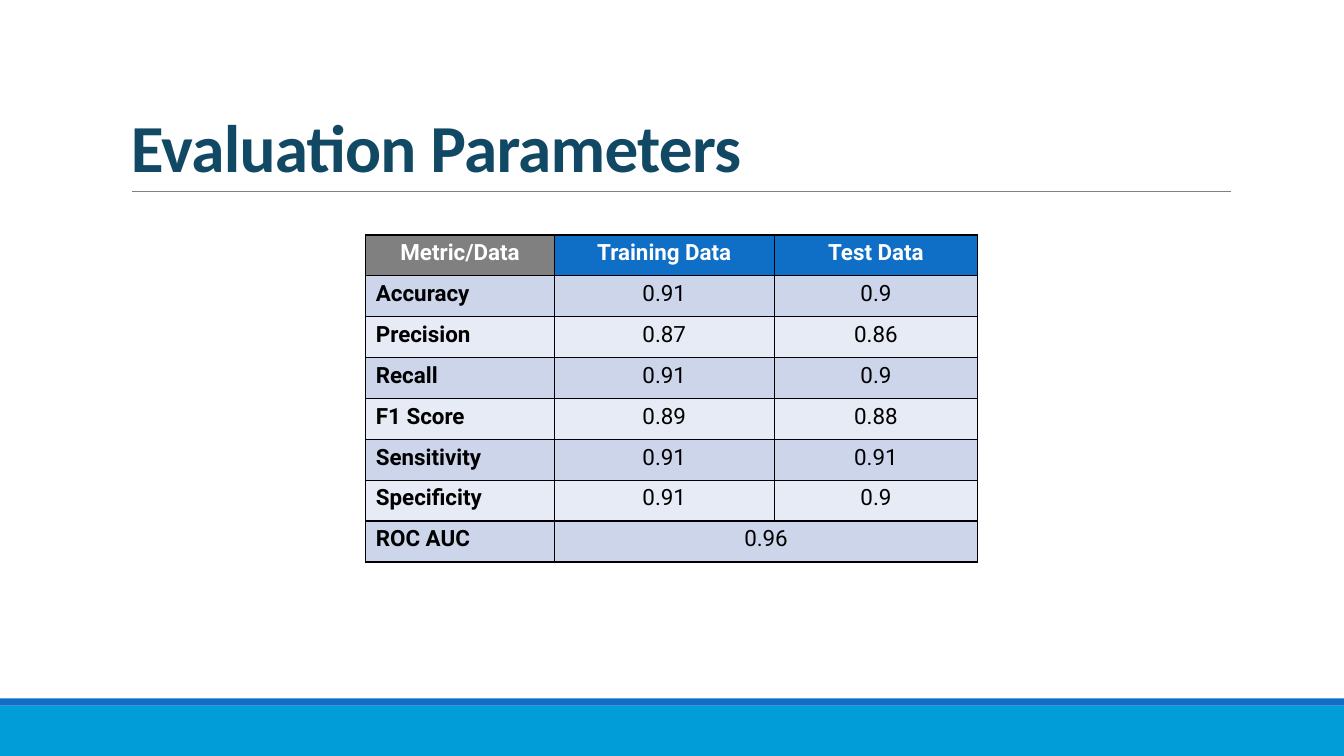
from dataclasses import dataclass

from lxml import etree
from pptx import Presentation
from pptx.dml.color import RGBColor
from pptx.enum.shapes import MSO_CONNECTOR, MSO_SHAPE
from pptx.enum.text import MSO_ANCHOR, PP_ALIGN
from pptx.oxml import parse_xml
from pptx.oxml.ns import nsdecls, qn
from pptx.slide import Slide
from pptx.table import _Cell
from pptx.text.text import _Paragraph, _Run
from pptx.util import Cm, Pt

RECTANGLE = MSO_SHAPE.RECTANGLE
STRAIGHT = MSO_CONNECTOR.STRAIGHT
BOTTOM = MSO_ANCHOR.BOTTOM
LEFT, CENTER = PP_ALIGN.LEFT, PP_ALIGN.CENTER


@dataclass(frozen=True)
class Theme:
    title_font: str = "Calibri"
    table_font: str = "Roboto"
    title_size: int = 48
    table_size: int = 16
    title: str = "114864"
    blue: str = "0F6FC6"
    cyan: str = "009DD9"
    grey: str = "808080"
    white: str = "FFFFFF"
    black: str = "000000"
    row_colors: tuple[str, str] = ("CCD5EA", "E7EBF5")


@dataclass(frozen=True)
class Band:
    top: float
    height: float
    color: str


@dataclass(frozen=True)
class Metric:
    name: str
    training: str
    test: str = ""


THEME = Theme()
SLIDE_WIDTH, SLIDE_HEIGHT = 33.87, 19.05
BANDS = (Band(17.78, 1.27, THEME.cyan), Band(17.6, 0.18, THEME.blue))
HEADINGS = ("Metric/Data", "Training Data", "Test Data")
METRICS = (
    Metric("Accuracy", "0.91", "0.9"),
    Metric("Precision", "0.87", "0.86"),
    Metric("Recall", "0.91", "0.9"),
    Metric("F1 Score", "0.89", "0.88"),
    Metric("Sensitivity", "0.91", "0.91"),
    Metric("Specificity", "0.91", "0.9"),
    Metric("ROC AUC", "0.96"),
)
COLUMN_WIDTHS = (4.75, 5.54, 5.13)
ROW_HEIGHT = 1.03


def add_run(paragraph: _Paragraph, text: str, font: str, size: int,
            color: str, bold: bool) -> _Run:
    run = paragraph.add_run()
    run.text = text
    run.font.name = font
    run.font.size = Pt(size)
    run.font.bold = bold
    run.font.color.rgb = RGBColor.from_string(color)
    return run


def add_band(slide: Slide, band: Band) -> None:
    shape = slide.shapes.add_shape(
        RECTANGLE, 0, Cm(band.top), Cm(SLIDE_WIDTH), Cm(band.height))
    shape.shadow.inherit = False
    shape.fill.solid()
    shape.fill.fore_color.rgb = RGBColor.from_string(band.color)
    shape.line.fill.background()


def add_title_rule(slide: Slide) -> None:
    rule = slide.shapes.add_connector(
        STRAIGHT, Cm(3.33), Cm(4.83), Cm(31.01), Cm(4.83))
    rule.line.color.rgb = RGBColor.from_string(THEME.grey)
    rule.line.width = Pt(0.5)
    etree.SubElement(rule._element.spPr, qn("a:effectLst"))


def add_title(slide: Slide, text: str) -> None:
    box = slide.shapes.add_textbox(Cm(3.05), Cm(0.79), Cm(27.94), Cm(4.04))
    frame = box.text_frame
    frame.word_wrap = True
    frame.vertical_anchor = BOTTOM
    paragraph = frame.paragraphs[0]
    paragraph.line_spacing = 0.85
    run = add_run(paragraph, text, THEME.title_font, THEME.title_size,
                  THEME.title, True)
    run._r.get_or_add_rPr().set("spc", "-50")


def add_borders(cell: _Cell) -> None:
    properties = cell._tc.get_or_add_tcPr()
    for side in ("lnL", "lnR", "lnT", "lnB"):
        properties.append(parse_xml(
            f'<a:{side} {nsdecls("a")} w="{Pt(1)}"><a:solidFill>'
            f'<a:srgbClr val="{THEME.black}"/></a:solidFill></a:{side}>'))


def fill_cell(cell: _Cell, text: str, fill: str, color: str, bold: bool,
              alignment: PP_ALIGN) -> None:
    add_borders(cell)
    cell.fill.solid()
    cell.fill.fore_color.rgb = RGBColor.from_string(fill)
    if text:
        paragraph = cell.text_frame.paragraphs[0]
        paragraph.alignment = alignment
        add_run(paragraph, text, THEME.table_font, THEME.table_size, color, bold)


def add_metric_table(slide: Slide) -> None:
    """Add the table; a metric without a test value spans both data columns."""
    row_count = len(METRICS) + 1
    table = slide.shapes.add_table(
        row_count, len(HEADINGS), Cm(9.22), Cm(5.92),
        Cm(sum(COLUMN_WIDTHS)), Cm(ROW_HEIGHT * row_count)).table
    for column, width in zip(table.columns, COLUMN_WIDTHS):
        column.width = Cm(width)
    for row in table.rows:
        row.height = Cm(ROW_HEIGHT)

    for column, heading in enumerate(HEADINGS):
        fill = THEME.blue if column else THEME.grey
        fill_cell(table.cell(0, column), heading, fill, THEME.white, True, CENTER)

    for row, metric in enumerate(METRICS, start=1):
        fill = THEME.row_colors[(row - 1) % 2]
        for column, text in enumerate((metric.name, metric.training, metric.test)):
            is_name = column == 0
            fill_cell(table.cell(row, column), text, fill, THEME.black,
                      is_name, LEFT if is_name else CENTER)
        if not metric.test:
            table.cell(row, 1).merge(table.cell(row, 2))


def main() -> None:
    presentation = Presentation()
    presentation.slide_width = Cm(SLIDE_WIDTH)
    presentation.slide_height = Cm(SLIDE_HEIGHT)
    slide = presentation.slides.add_slide(presentation.slide_layouts[6])
    for band in BANDS:
        add_band(slide, band)
    add_title_rule(slide)
    add_title(slide, "Evaluation Parameters")
    add_metric_table(slide)
    presentation.save("out.pptx")


if __name__ == "__main__":
    main()
